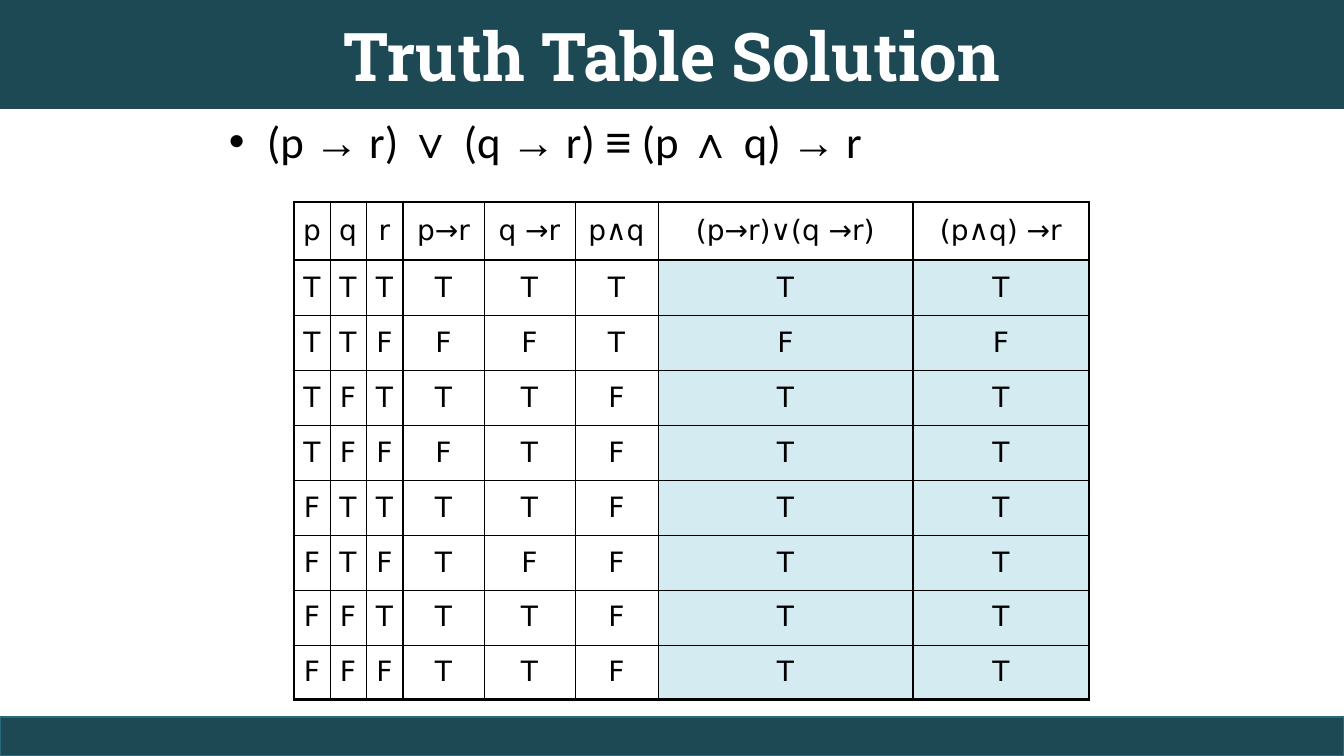
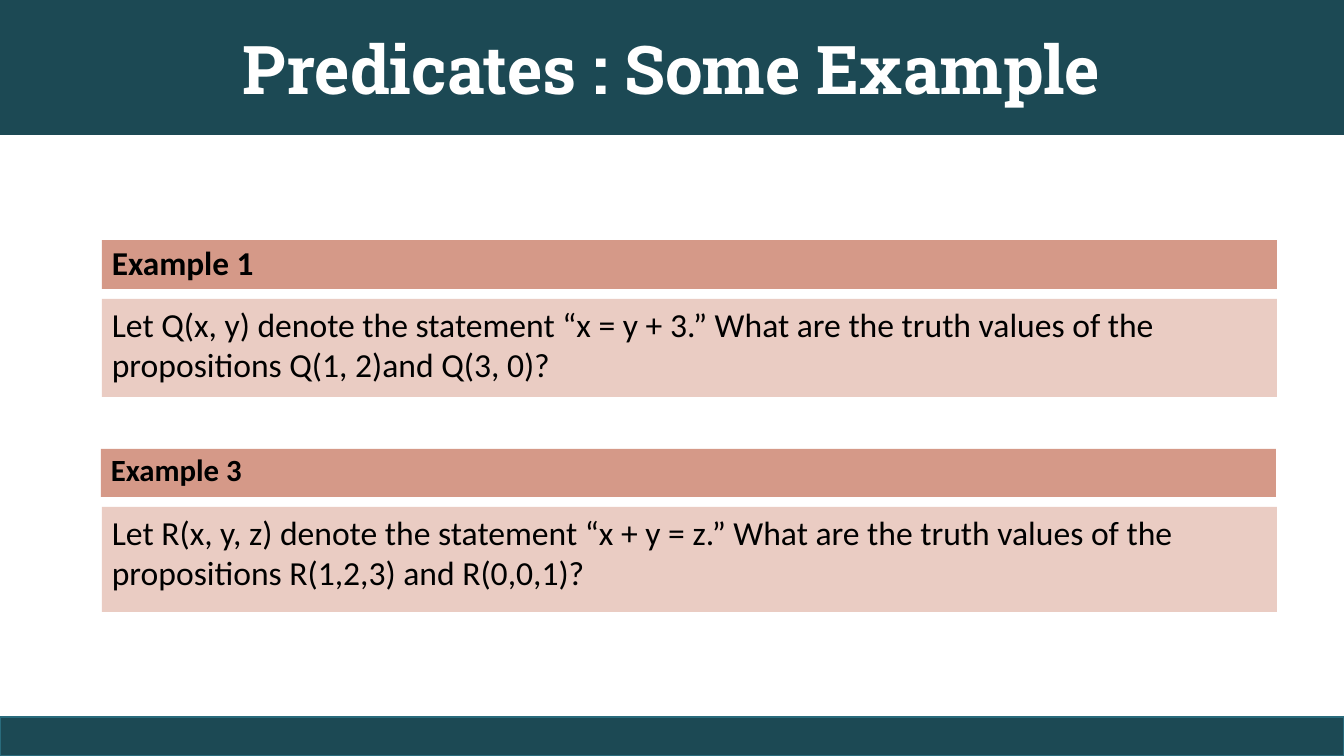
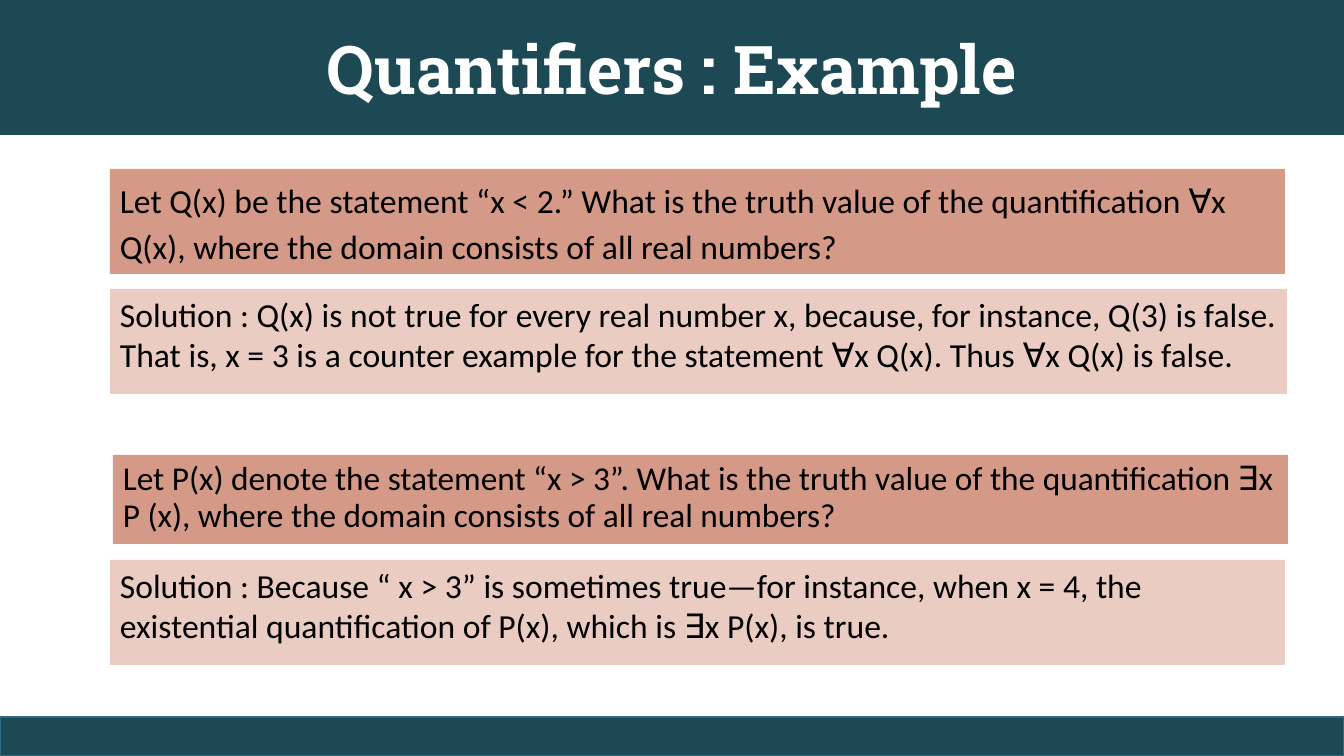
import itertools
from dataclasses import dataclass

import pptx
import pptx.dml.color
import pptx.enum.shapes
import pptx.enum.text
import pptx.oxml
import pptx.oxml.ns
import pptx.util

ALIGN = pptx.enum.text.PP_ALIGN
ANCHOR = pptx.enum.text.MSO_ANCHOR
SLIDE_WIDTH, SLIDE_HEIGHT = 1344, 756
SCALE = 12192000 / SLIDE_WIDTH


@dataclass(frozen=True)
class Theme:
    band: str = "1C4954"
    band_edge: str = "296B7C"
    heading: str = "D59988"
    body: str = "EACCC3"
    result: str = "D4EBF1"
    ink: str = "000000"
    light: str = "FFFFFF"
    title_font: str = "Roboto Slab"
    text_font: str = "Calibri"
    symbol_font: str = "Arial"
    table_font: str = "DejaVu Sans"
    title_size: float = 48
    formula_size: float = 32
    body_size: float = 24
    heading_size: float = 23.8
    small_heading_size: float = 22
    table_size: float = 20
    thin: float = 0.25
    thick: float = 2.25


def px(length):
    return pptx.util.Emu(round(length * SCALE))


def rgb(value):
    return pptx.dml.color.RGBColor.from_string(value)


class Deck:
    def __init__(self, theme):
        self.theme = theme
        self.presentation = pptx.Presentation()
        self.presentation.slide_width = px(SLIDE_WIDTH)
        self.presentation.slide_height = px(SLIDE_HEIGHT)
        self.slide = None

    def new_slide(self, title, title_height):
        theme = self.theme
        self.slide = self.presentation.slides.add_slide(self.presentation.slide_layouts[6])
        header = self.rectangle(0, 0, SLIDE_WIDTH, title_height, theme.band)
        self.set_text(header.text_frame, title, theme.title_font, theme.title_size,
                      theme.light, bold=True, align=ALIGN.CENTER)
        header.text_frame.vertical_anchor = ANCHOR.MIDDLE
        footer = self.rectangle(0, 717, SLIDE_WIDTH, 39, theme.band)
        footer.line.color.rgb = rgb(theme.band_edge)
        footer.line.width = pptx.util.Pt(2)

    def rectangle(self, left, top, width, height, fill):
        rectangle = self.slide.shapes.add_shape(
            pptx.enum.shapes.MSO_SHAPE.RECTANGLE, px(left), px(top), px(width), px(height))
        rectangle.shadow.inherit = False
        rectangle.fill.solid()
        rectangle.fill.fore_color.rgb = rgb(fill)
        rectangle.line.fill.background()
        return rectangle

    def style(self, font, name, size, color, bold=False):
        font.name = name
        font.size = pptx.util.Pt(size)
        font.color.rgb = rgb(color)
        font.bold = bold

    def set_text(self, frame, text, name, size, color, bold=False, align=ALIGN.LEFT, spacing=None):
        frame.text = text
        frame.word_wrap = True
        paragraph = frame.paragraphs[0]
        paragraph.alignment = align
        paragraph.line_spacing = spacing
        self.style(paragraph.runs[0].font, name, size, color, bold)

    def panel(self, text, left, top, height, fill, width=1175, size=None, bold=False, spacing=None):
        panel = self.rectangle(left, top, width, height, fill)
        panel.text_frame.vertical_anchor = ANCHOR.TOP
        self.set_text(panel.text_frame, text, self.theme.text_font, size or self.theme.body_size,
                      self.theme.ink, bold, spacing=spacing)

    def formula(self, text, left, top, width, height):
        theme = self.theme
        frame = self.slide.shapes.add_textbox(px(left), px(top), px(width), px(height)).text_frame
        frame.word_wrap = True
        paragraph = frame.paragraphs[0]
        properties = paragraph._p.get_or_add_pPr()
        properties.set("marL", str(int(px(38))))
        properties.set("indent", str(-int(px(38))))
        namespace = pptx.oxml.ns.nsdecls("a")
        properties.append(pptx.oxml.parse_xml(f'<a:buFont {namespace} typeface="Arial"/>'))
        properties.append(pptx.oxml.parse_xml(f'<a:buChar {namespace} char="•"/>'))
        for symbolic, letters in itertools.groupby(text, lambda letter: letter in "→∨∧≡"):
            run = paragraph.add_run()
            run.text = "".join(letters)
            self.style(run.font, theme.symbol_font if symbolic else theme.text_font,
                       theme.formula_size, theme.ink)

    def border(self, cell, side, width):
        cell._tc.get_or_add_tcPr().append(pptx.oxml.parse_xml(
            f'<a:ln{side} {pptx.oxml.ns.nsdecls("a")} w="{int(pptx.util.Pt(width))}">'
            f'<a:solidFill><a:srgbClr val="{self.theme.ink}"/></a:solidFill></a:ln{side}>'))

    def table(self, rows, left, top, widths, heights, heavy_columns, heavy_rows, result_columns):
        theme = self.theme
        table = self.slide.shapes.add_table(
            len(rows), len(widths), px(left), px(top), px(sum(widths)), px(sum(heights))).table
        table.first_row = table.horz_banding = False
        for column, width in zip(table.columns, widths):
            column.width = px(width)
        for row, height in zip(table.rows, heights):
            row.height = px(height)
        for r, c in itertools.product(range(len(rows)), range(len(widths))):
            cell = table.cell(r, c)
            cell.margin_left = cell.margin_right = 0
            cell.vertical_anchor = ANCHOR.MIDDLE
            self.set_text(cell.text_frame, rows[r][c], theme.table_font, theme.table_size,
                          theme.ink, align=ALIGN.CENTER)
            for side, heavy in (("L", c in heavy_columns), ("R", c + 1 in heavy_columns),
                                ("T", r in heavy_rows), ("B", r + 1 in heavy_rows)):
                self.border(cell, side, theme.thick if heavy else theme.thin)
            if r and c in result_columns:
                cell.fill.solid()
                cell.fill.fore_color.rgb = rgb(theme.result)
            else:
                cell.fill.background()


def truth_rows():
    rows = [["p", "q", "r", "p→r", "q →r", "p∧q", "(p→r)∨(q →r)", "(p∧q) →r"]]
    for p, q, r in itertools.product((True, False), repeat=3):
        p_to_r, q_to_r, both = not p or r, not q or r, p and q
        values = (p, q, r, p_to_r, q_to_r, both, p_to_r or q_to_r, not both or r)
        rows.append(["T" if value else "F" for value in values])
    return rows


def truth_table(deck):
    deck.new_slide("Truth Table Solution", 109)
    deck.formula("(p → r) ∨ (q → r) ≡ (p ∧ q) → r", 219, 109, 907, 70)
    deck.table(truth_rows(), 294, 202, [36, 36, 37, 81, 91, 83, 255, 176], [58] + [55] * 8,
               heavy_columns={0, 3, 7, 8}, heavy_rows={0, 1, 9}, result_columns={6, 7})


def predicates(deck):
    theme = deck.theme
    deck.new_slide("Predicates : Some Example", 135)
    deck.panel("Example 1", 102, 240, 49, theme.heading,
               size=theme.heading_size, bold=True, spacing=0.94)
    deck.panel("Let Q(x, y) denote the statement “x = y + 3.” What are the truth values of the "
               "propositions Q(1, 2)and Q(3, 0)?", 102, 299, 98, theme.body)
    deck.panel("Example 3", 101, 449, 48, theme.heading,
               size=theme.small_heading_size, bold=True, spacing=0.94)
    deck.panel("Let R(x, y, z) denote the statement “x + y = z.” What are the truth values of the "
               "propositions R(1,2,3) and R(0,0,1)?", 102, 507, 105, theme.body)


def quantifiers(deck):
    theme = deck.theme
    deck.new_slide("Quantifiers : Example", 135)
    deck.panel("Let Q(x) be the statement “x < 2.” What is the truth value of the quantification "
               "∀x Q(x), where the domain consists of all real numbers?",
               110, 169, 105, theme.heading, spacing=1.14)
    deck.panel("Solution : Q(x) is not true for every real number x, because, for instance, Q(3) "
               "is false. That is, x = 3 is a counter example for the statement ∀x Q(x). "
               "Thus ∀x Q(x) is false.", 110, 289, 105, theme.body, width=1177)
    deck.panel("Let P(x) denote the statement “x > 3”. What is the truth value of the "
               "quantification ∃x P (x), where the domain consists of all real numbers?",
               113, 455, 89, theme.heading, size=theme.heading_size, spacing=0.94)
    deck.panel("Solution : Because “ x > 3” is sometimes true—for instance, when x = 4, the "
               "existential quantification of P(x), which is ∃x P(x), is true.",
               110, 560, 105, theme.body)


def main():
    deck = Deck(Theme())
    truth_table(deck)
    predicates(deck)
    quantifiers(deck)
    deck.presentation.save("out.pptx")


if __name__ == "__main__":
    main()
